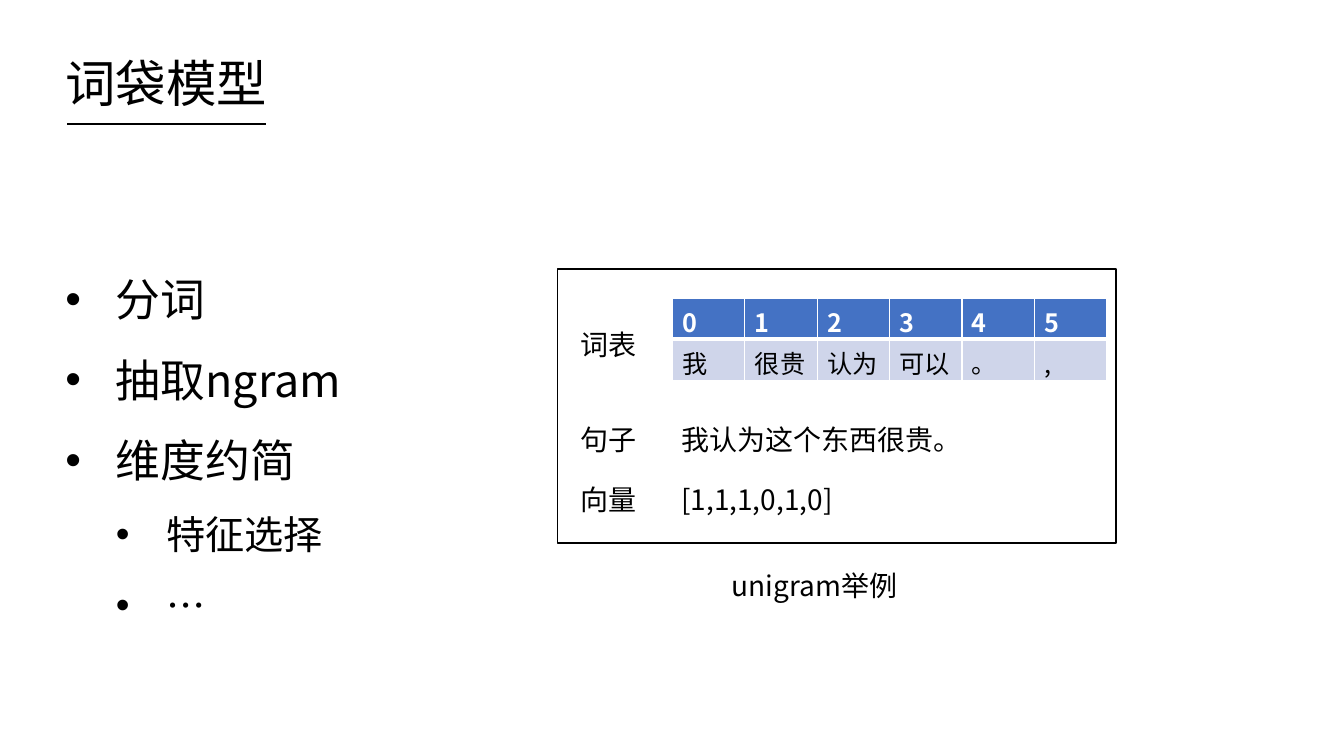
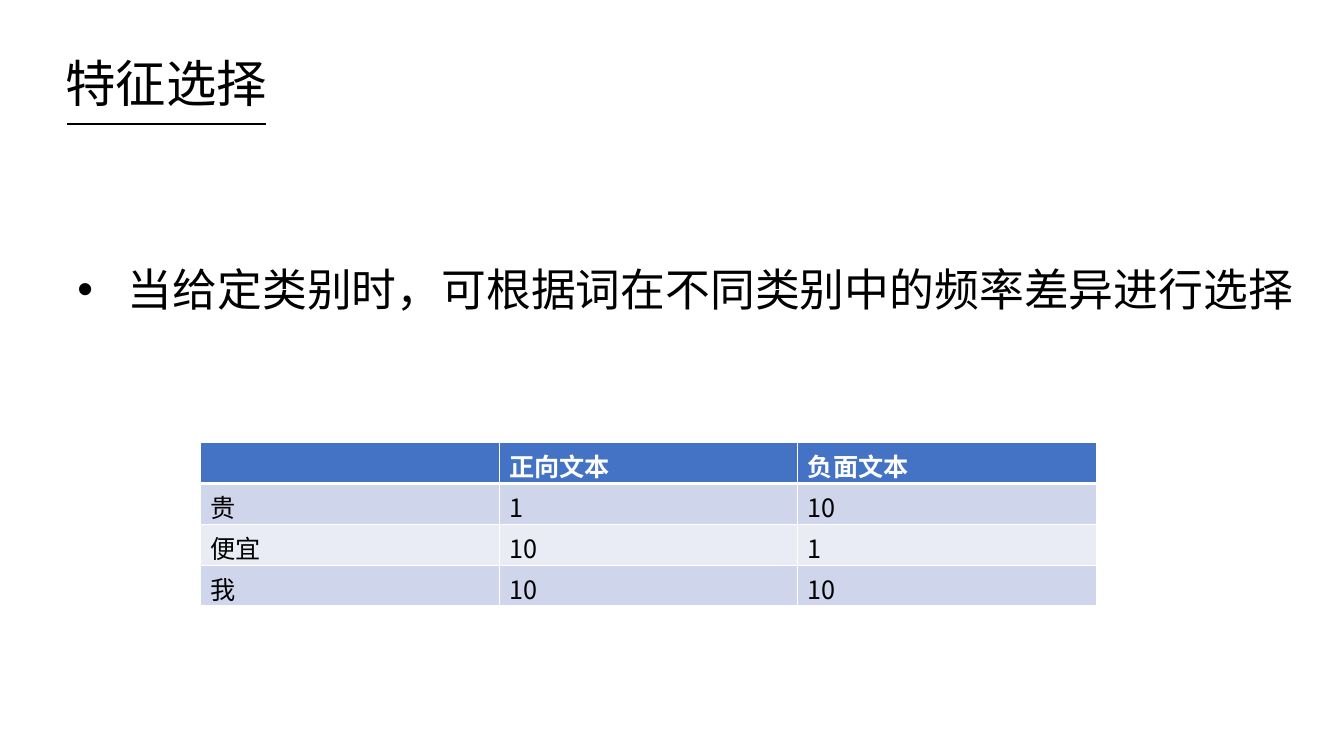
from lxml import etree
from pptx import Presentation
from pptx.dml.color import RGBColor
from pptx.enum import shapes, text
from pptx.oxml import ns
from pptx.util import Pt

# Content: boxes are (left, top, width, height) in points
BAG = "词袋模型"
BAG_STEPS = [("分词", 0), ("抽取ngram", 0), ("维度约简", 0), ("特征选择", 1), ("…", 1)]
VOCABULARY = [["0", "1", "2", "3", "4", "5"],
              ["我", "很贵", "认为", "可以", "。", ","]]
EXAMPLE_TEXTS = [("词表", (407.5, 230.4, 80.6, 31.5)),
                 ("句子\t我认为这个东西很贵。", (407.5, 298.1, 320.4, 31.5)),
                 ("向量\t[1,1,1,0,1,0]", (407.5, 341.3, 320.4, 31.5)),
                 ("unigram举例", (515.5, 402.5, 150.5, 31.5))]
SELECTION = "特征选择"
SELECTION_STEPS = [("当给定类别时，可根据词在不同类别中的频率差异进行选择", 0)]
FREQUENCIES = [["", "正向文本", "负面文本"],
               ["贵", "1", "10"],
               ["便宜", "10", "1"],
               ["我", "10", "10"]]

# Shared style
FONT = "Noto Sans CJK SC"
BLACK, WHITE = RGBColor(0, 0, 0), RGBColor(255, 255, 255)
HEADER = RGBColor(0x44, 0x72, 0xC4)
BANDS = [RGBColor(0xCF, 0xD5, 0xEA), RGBColor(0xE9, 0xEB, 0xF5)]
TITLE_BOX = (39.6, 33.8, 159.8, 51.1)
RULE = (48.2, 88.6, 190.1, 88.6)
INDENT, ROW_H = 36, 29.2
LEVEL_SIZES = [32, 28]

prs = Presentation()
prs.slide_width, prs.slide_height = Pt(960), Pt(540)


def pts(values):
    return [Pt(v) for v in values]


def set_attrs(obj, **values):
    for name, value in values.items():
        setattr(obj, name, value)


def add_run(p, words, size, color=BLACK, bold=False):
    r = p.add_run()
    r.text = words
    set_attrs(r.font, name=FONT, size=Pt(size), bold=bold)
    r.font.color.rgb = color
    etree.SubElement(r.font._element, ns.qn("a:ea"), typeface=FONT)


def add_box(slide, box):
    tf = slide.shapes.add_textbox(*pts(box)).text_frame
    tf.word_wrap = True
    return tf


def add_slide(title):
    slide = prs.slides.add_slide(prs.slide_layouts[5])
    sp = slide.shapes.title
    set_attrs(sp, **dict(zip(("left", "top", "width", "height"), pts(TITLE_BOX))))
    tf = sp.text_frame
    set_attrs(tf, word_wrap=False, vertical_anchor=text.MSO_ANCHOR.TOP,
              auto_size=text.MSO_AUTO_SIZE.SHAPE_TO_FIT_TEXT)
    tf.paragraphs[0].alignment = text.PP_ALIGN.LEFT
    add_run(tf.paragraphs[0], title, 36)
    rule = slide.shapes.add_connector(shapes.MSO_CONNECTOR.STRAIGHT, *pts(RULE))
    rule.line.color.rgb, rule.line.width = BLACK, Pt(1.5)
    etree.SubElement(rule._element.spPr, ns.qn("a:effectLst"))
    return slide


def add_bullets(slide, items, box):
    tf = add_box(slide, box)
    for i, (words, level) in enumerate(items):
        p = tf.paragraphs[0] if i == 0 else tf.add_paragraph()
        set_attrs(p, level=level, line_spacing=1.5)
        pPr = p._p.get_or_add_pPr()
        pPr.set("marL", str(Pt(INDENT * (level + 1))))
        pPr.set("indent", str(-Pt(INDENT)))
        etree.SubElement(pPr, ns.qn("a:buFont"), typeface="Arial")
        etree.SubElement(pPr, ns.qn("a:buChar"), char="•")
        add_run(p, words, LEVEL_SIZES[level])


def set_borders(cell, **widths):
    tcPr = cell._tc.get_or_add_tcPr()
    for i, side in enumerate("LRTB"):
        ln = etree.Element(ns.qn("a:ln" + side), w=str(Pt(widths.get(side, 1))))
        fill = etree.SubElement(ln, ns.qn("a:solidFill"))
        etree.SubElement(fill, ns.qn("a:srgbClr"), val=str(WHITE))
        tcPr.insert(i, ln)


def add_grid(slide, rows, left, top, col_w):
    n_rows, n_cols = len(rows), len(rows[0])
    size = pts((left, top, col_w * n_cols, ROW_H * n_rows))
    table = slide.shapes.add_table(n_rows, n_cols, *size).table
    for col in table.columns:
        col.width = Pt(col_w)
    for i, row in enumerate(rows):
        table.rows[i].height = Pt(ROW_H)
        head = i == 0
        for j, words in enumerate(row):
            cell = table.cell(i, j)
            cell.margin_bottom = 0
            cell.fill.solid()
            cell.fill.fore_color.rgb = HEADER if head else BANDS[(i - 1) % 2]
            # A thick line parts the header from the body
            set_borders(cell, B=3 if head else 1, T=3 if i == 1 else 1)
            if words:
                add_run(cell.text_frame.paragraphs[0], words, 18,
                        WHITE if head else BLACK, head)


# Slide 1: bag of words, with a framed unigram example
slide = add_slide(BAG)
add_bullets(slide, BAG_STEPS, (39.6, 171.4, 245.5, 278.6))
frame = slide.shapes.add_shape(shapes.MSO_SHAPE.RECTANGLE,
                               *pts((398.2, 192.2, 398.9, 195.8)))
frame.shadow.inherit = False
frame.fill.background()
frame.line.color.rgb, frame.line.width = BLACK, Pt(1)
for words, box in EXAMPLE_TEXTS:
    add_run(add_box(slide, box).paragraphs[0], words, 20)
add_grid(slide, VOCABULARY, 480.4, 213.1, 51.7)

# Slide 2: feature selection by class frequency
slide = add_slide(SELECTION)
add_bullets(slide, SELECTION_STEPS, (48.2, 164.2, 889.9, 59.8))
add_grid(slide, FREQUENCIES, 143.3, 316.1, 213.3)

prs.save("out.pptx")
